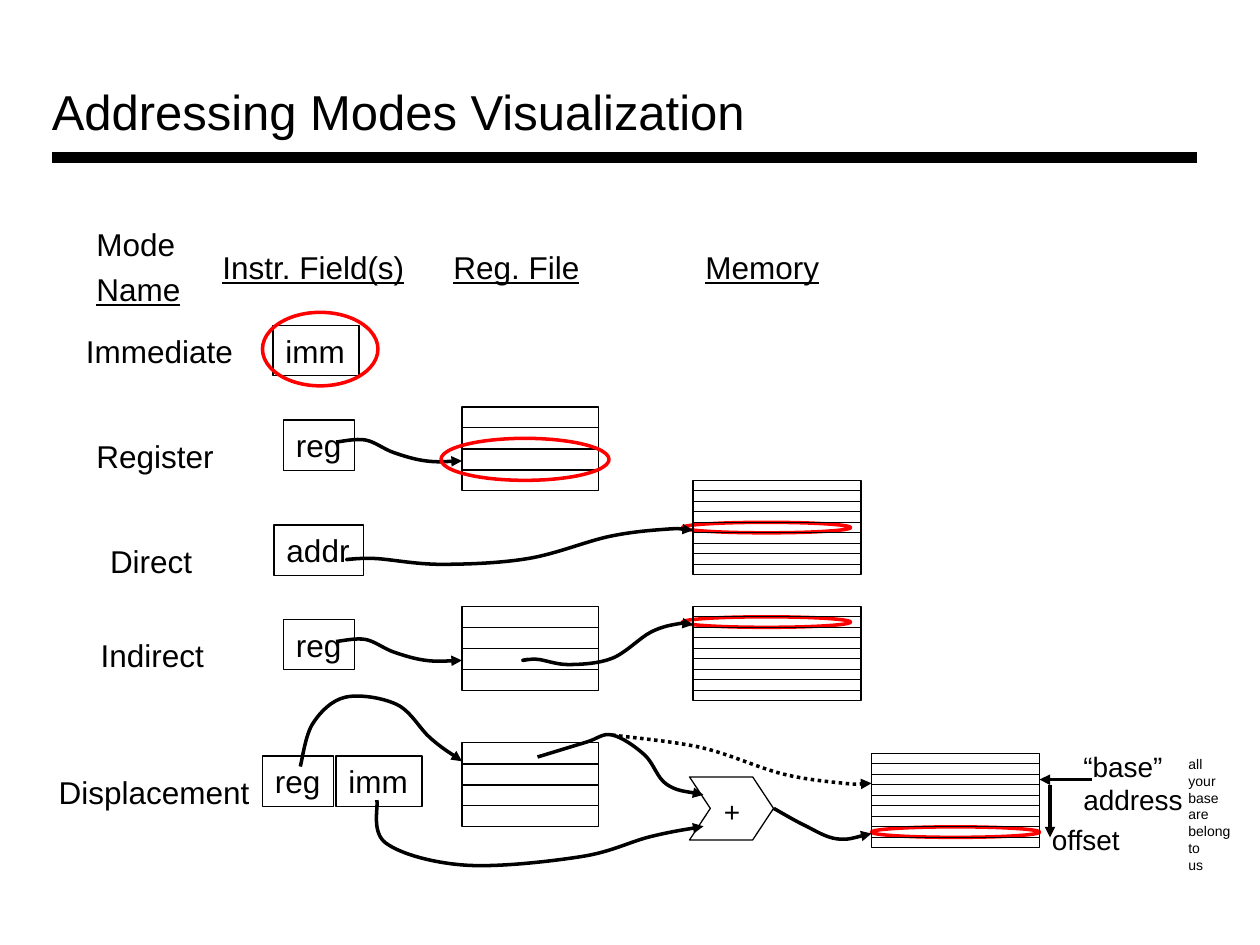
from copy import deepcopy

from lxml import etree
from pptx import Presentation
from pptx.dml.color import RGBColor
from pptx.enum.dml import MSO_LINE
from pptx.enum.shapes import MSO_CONNECTOR, MSO_SHAPE
from pptx.enum.text import MSO_ANCHOR, MSO_AUTO_SIZE, PP_ALIGN
from pptx.oxml.ns import qn
from pptx.util import Inches, Pt

RECT, OVAL, CHEVRON = MSO_SHAPE.RECTANGLE, MSO_SHAPE.OVAL, MSO_SHAPE.CHEVRON
STRAIGHT, DOTS = MSO_CONNECTOR.STRAIGHT, MSO_LINE.ROUND_DOT
MIDDLE, TOP, LEFT = MSO_ANCHOR.MIDDLE, MSO_ANCHOR.TOP, PP_ALIGN.LEFT
GROW = MSO_AUTO_SIZE.SHAPE_TO_FIT_TEXT

# The slide is a grid of 120 columns by 90 rows, twelve to the inch.
COLS, ROWS = 120, 90
CELL = Inches(1) / 12
BLACK, RED = "000000", "FF0000"
LINE_HIGH = 4.8  # one line of 18 pt text with its margins

REG_COL, REG_WIDE, REG_HIGH, REG_COUNT = 44, 13, 2, 4
MEM_COL, MEM_WIDE, MEM_HIGH, MEM_COUNT = 66, 16, 1, 9
FAR_COL = 83  # the memory of the Displacement mode
FIELD_WIDE = {"imm": 8.2, "reg": 6.8, "addr": 8.5}

# text, left, top, width
HEADS = [
    ("Instr. Field(s)", 20, 23, 20),
    ("Reg. File", 42, 23, 14.5),
    ("Memory", 66, 23, 13.3),
]
MODES = [
    ("Immediate", 7, 31, 16.5),
    ("Register", 8, 41, 13.7),
    ("Direct", 9.3, 51, 10.3),
    ("Indirect", 8.4, 60, 12.4),
    ("Displacement", 4.4, 73, 20.8),
]


def color(code):
    return RGBColor.from_string(code)


def cells(*counts):
    return [round(n * CELL) for n in counts]


def apply(target, values):
    for name, value in values.items():
        setattr(target, name, value)


def stroke(shape, code, width):
    shape.line.color.rgb = color(code)
    shape.line.width = Pt(width)


def add_head(shape):
    """Put a triangle at the end of a line."""
    line = shape._element.xpath(".//a:ln")[0]
    etree.SubElement(line, qn("a:tailEnd"), type="triangle")


def style(para, font):
    para.alignment = LEFT
    for run in para.runs:
        run.font.color.rgb = color(BLACK)
        apply(run.font, {"name": "Arial", "size": Pt(18), **font})
    for gap in para._p.xpath("./a:br"):
        gap.append(deepcopy(para.runs[0]._r.rPr))


def write(shape, text, anchor=MIDDLE, **font):
    frame = shape.text_frame
    apply(frame, {"word_wrap": False, "auto_size": GROW,
                  "vertical_anchor": anchor})
    frame.paragraphs[0].text = text
    style(frame.paragraphs[0], font)
    return frame


def add_label(slide, text, left, top, wide, high=LINE_HIGH, **look):
    box = slide.shapes.add_textbox(*cells(left, top, wide, high))
    return write(box, text, **look)


def add_form(slide, kind, box, code=BLACK, width=0.75):
    shape = slide.shapes.add_shape(kind, *cells(*box))
    shape.shadow.inherit = False
    shape.fill.background()
    stroke(shape, code, width)
    return shape


def add_ring(slide, *box):
    add_form(slide, OVAL, box, RED, 2)


def add_field(slide, text, left, top):
    box = (left, top, FIELD_WIDE[text], LINE_HIGH)
    write(add_form(slide, RECT, box), text)


def add_stack(slide, left, top, wide, high, count):
    for row in range(count):
        add_form(slide, RECT, (left, top + row * high, wide, high))


def add_regs(slide, top):
    add_stack(slide, REG_COL, top, REG_WIDE, REG_HIGH, REG_COUNT)


def add_memory(slide, left, top, hit, shift=0):
    """Draw a memory and ring the row that is hit, moved by shift columns."""
    add_ring(slide, left + shift, top + hit * MEM_HIGH, MEM_WIDE, MEM_HIGH)
    add_stack(slide, left, top, MEM_WIDE, MEM_HIGH, MEM_COUNT)


def add_line(slide, ends, width):
    line = slide.shapes.add_connector(STRAIGHT, *cells(*ends))
    stroke(line, BLACK, width)
    etree.SubElement(line._element.spPr, qn("a:effectLst"))
    return line


def smooth(knots):
    """Turn knots into Bézier points: each slope follows the two neighbours."""
    padded = [knots[0], *knots, knots[-1]]
    points = [knots[0]]
    for before, start, end, after in zip(padded, knots, knots[1:], padded[3:]):
        points.append([s + (e - b) / 6 for b, s, e in zip(before, start, end)])
        points.append([e - (a - s) / 6 for s, e, a in zip(start, end, after)])
        points.append(end)
    return [cells(*point) for point in points]


def add_curve(slide, *knots, dash=None):
    """Draw a smooth arrow through the knots."""
    first, *rest = smooth(knots)
    pen = slide.shapes.build_freeform(*first, scale=1.0)
    pen.add_line_segments(rest, close=False)
    curve = pen.convert_to_shape()
    curve.shadow.inherit = False
    curve.fill.background()
    stroke(curve, BLACK, 2)
    if dash:
        curve.line.dash_style = dash
    add_head(curve)
    trace = curve._element.xpath(".//a:path")[0]
    steps = trace.findall(qn("a:lnTo"))
    for start in range(0, len(steps), 3):
        piece = etree.SubElement(trace, qn("a:cubicBezTo"))
        for step in steps[start:start + 3]:
            piece.append(step[0])
            trace.remove(step)


def add_lookup(slide, top):
    """Draw a reg field, a register file and the arrow between them."""
    add_field(slide, "reg", 27, top)
    add_regs(slide, top - 1.25)
    add_curve(slide, (32, top + 2.1), (34.8, top + 1.9), (37.5, top + 3.1),
              (40.6, top + 3.9), (REG_COL, top + 3.9))


def add_heads(slide):
    title = add_label(slide, "Addressing Modes Visualization", 3.75, 5.65,
                      69.2, 7.7, size=Pt(28), anchor=TOP)
    title.paragraphs[0].line_spacing = Pt(43)
    add_line(slide, (5, 15, 114, 15), 6)
    mode = add_label(slide, "Mode", 8, 20.75, 10.5, 9.25)
    name = mode.add_paragraph()
    name.text, name.space_before = "Name", Pt(4)
    style(name, {"underline": True})
    for head in HEADS:
        add_label(slide, *head, underline=True)
    for mode in MODES:
        add_label(slide, *mode)


def add_immediate(slide):
    add_field(slide, "imm", 26, 31)
    add_ring(slide, 25, 29.75, 11, 7)


def add_register(slide):
    add_lookup(slide, 40)
    add_ring(slide, REG_COL - 2, 41.75, 16, 4)


def add_direct(slide):
    add_field(slide, "addr", 26.1, 50)
    add_memory(slide, MEM_COL, 45.75, 4, -1)
    add_curve(slide, (34.1, 53.2), (33, 53.3), (35.75, 53.2), (42, 53.75),
              (50.3, 53.2), (58, 51.1), (63.5, 50.4), (MEM_COL, 50.5))


def add_indirect(slide):
    add_lookup(slide, 59)
    add_memory(slide, MEM_COL, 57.75, 1, -1)
    add_curve(slide, (50.3, 62.8), (49.8, 62.9), (51.2, 62.8), (54.2, 63.3),
              (58.3, 62.7), (62, 60.2), (64.7, 59.4), (MEM_COL, 59.5))


def add_displacement(slide):
    add_field(slide, "reg", 25, 72)
    add_field(slide, "imm", 32, 72)
    add_regs(slide, 70.75)
    add_memory(slide, FAR_COL, 71.75, 7)
    add_form(slide, CHEVRON, (65.67, 74, 8, 6)).adjustments[0] = 0.33
    add_label(slide, "+", 67.75, 75.1, 4, 4.4, size=Pt(16))
    fork, sum_top, sum_low = (58.3, 70), (67, 75.7), (67, 78.7)
    add_curve(slide, (28.6, 73), (29.8, 68.9), (32.9, 66.4), (37.8, 67.1),
              (41, 70.3), (REG_COL, 72.5))
    add_curve(slide, (51.2, 72.1), (55.8, 70.7), fork, (61.4, 71.9),
              (63.5, 74.7), sum_top)
    add_curve(slide, (35.9, 76.2), (36.75, 80.3), (44.3, 82.4), (55.3, 81.6),
              (61.9, 79.7), sum_low)
    add_curve(slide, (73.7, 77), (76.6, 78.6), (79.7, 79.9), (FAR_COL, 79.4))
    add_curve(slide, fork, (66.8, 71.2), (74.5, 73.7), (80.4, 74.6),
              (FAR_COL, 74.6), dash=DOTS)


def add_notes(slide):
    add_label(slide, "“base”\naddress", 102, 70.7, 12, 7.7, size=Pt(16))
    add_label(slide, "offset", 99, 77.75, 9, 4.4, size=Pt(16))
    add_label(slide, "all\nyour\nbase\nare\nbelong\nto\nus", 112, 71.3, 6.5,
              12.5, size=Pt(8))
    for ends in ((104, 74.25, 99, 74.25), (100, 74.75, 100, 79.75)):
        add_head(add_line(slide, ends, 2))


def main():
    deck = Presentation()
    deck.slide_width, deck.slide_height = cells(COLS, ROWS)
    slide = deck.slides.add_slide(deck.slide_layouts[6])
    for part in (add_heads, add_immediate, add_register, add_direct,
                 add_indirect, add_displacement, add_notes):
        part(slide)
    deck.save("out.pptx")


if __name__ == "__main__":
    main()
